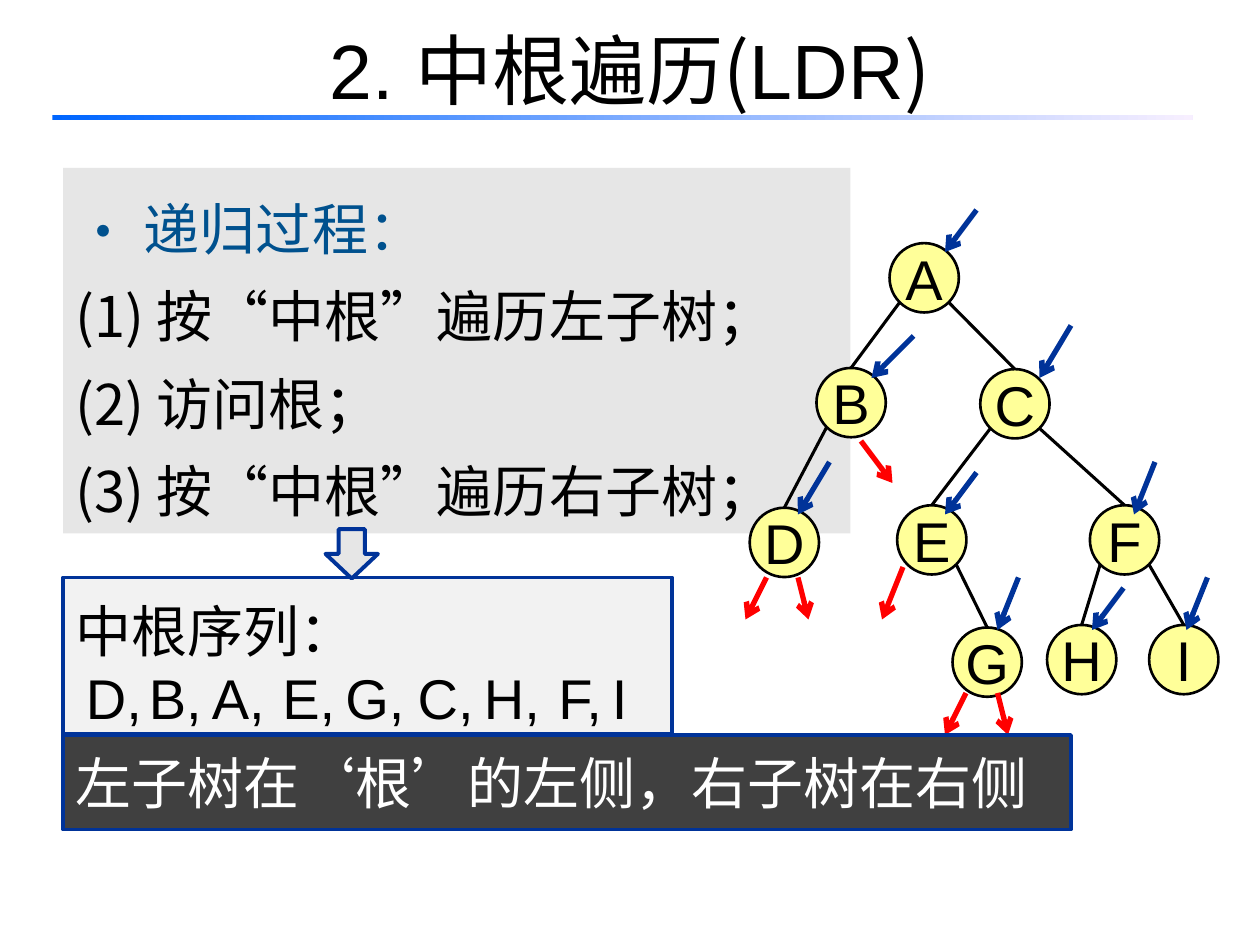
"""Build a slide on in-order traversal of a binary tree."""
from lxml import etree
from pptx import Presentation, util as u
from pptx.dml.color import RGBColor
from pptx.enum import shapes, text
from pptx.oxml.ns import qn

HUES = {"ink": "000000", "white": "FFFFFF", "blue": "003399", "red": "FF0000",
        "head": "00518E", "grey": "E6E6E6", "pale": "F2F2F2", "dark": "404040",
        "node": "FFFF99", "start": "0066FF", "end": "F7EFFF"}
LATIN, HAN = "Arial", "Noto Sans CJK SC"
SIDE = 6.6
KIND = shapes.MSO_SHAPE


def unit(num):
    """Turn twelfths of an inch into a length."""
    return u.Inches(num / 12)


def hue(name):
    """Look up a colour."""
    return RGBColor.from_string(HUES[name])


class Deck:
    """Hold the style and the current slide, on a grid of 120 by 90."""

    def __init__(self):
        """Open a title-only slide."""
        self.prs = Presentation()
        self.prs.slide_width, self.prs.slide_height = unit(120), unit(90)
        self.slide = self.prs.slides.add_slide(self.prs.slide_layouts[5])

    def style(self, run, font=HAN, size=32, color="ink"):
        """Set the Latin and Han fonts, size and colour of a run."""
        run.font.size, run.font.name = u.Pt(size), font
        run.font.color.rgb = hue(color)
        ea = etree.SubElement(run.font._element, qn("a:ea"))
        ea.set("typeface", HAN)

    def fill_in(self, frame, lines, font=HAN, color="ink", lead=None):
        """Put lines of text into a frame."""
        frame.text = "\n".join(lines)
        for par in frame.paragraphs:
            par.line_spacing = lead
            for run in par.runs:
                self.style(run, font, color=color)

    def title(self, parts, box):
        """Place the title and set its parts, each with its font."""
        top = self.slide.shapes.title
        top.left, top.top, top.width, top.height = map(unit, box)
        top.text_frame.vertical_anchor = text.MSO_ANCHOR.MIDDLE
        par = top.text_frame.paragraphs[0]
        par.alignment = text.PP_ALIGN.CENTER
        for words, font in parts:
            run = par.add_run()
            run.text = words
            self.style(run, font, 44)

    def shape(self, kind, box, fill, line=None, width=2.25):
        """Add a filled shape."""
        item = self.slide.shapes.add_shape(kind, *map(unit, box))
        item.shadow.inherit = False
        item.fill.solid()
        item.fill.fore_color.rgb = hue(fill)
        if line:
            item.line.color.rgb, item.line.width = hue(line), u.Pt(width)
        else:
            item.line.fill.background()
        return item

    def panel(self, box, lines, fill, line=None, color="ink", lead=None, mid=False):
        """Add a box with left-aligned text."""
        item = self.shape(KIND.RECTANGLE, box, fill, line)
        frame = item.text_frame
        frame.word_wrap = True
        frame.vertical_anchor = text.MSO_ANCHOR.MIDDLE if mid else text.MSO_ANCHOR.TOP
        self.fill_in(frame, lines, color=color, lead=lead)
        for par in frame.paragraphs:
            par.alignment = text.PP_ALIGN.LEFT
        return frame

    def mark(self, par, tag, key, value):
        """Give a paragraph a bullet or a number."""
        props = par._p.get_or_add_pPr()
        props.set("marL", str(u.Inches(0.12)))
        props.set("indent", str(-u.Inches(0.12)))
        etree.SubElement(props, qn("a:buFont")).set("typeface", HAN)
        etree.SubElement(props, qn(tag)).set(key, value)

    def rule(self, box):
        """Add the fading bar under the title."""
        item = self.shape(KIND.RECTANGLE, box, "start")
        item.fill.gradient()
        item.fill.gradient_angle = 0
        for stop, name, spot in zip(item.fill.gradient_stops, ("start", "end"), (0, 1)):
            stop.color.rgb, stop.position = hue(name), spot

    def node(self, name, left, top):
        """Add a round tree node."""
        item = self.shape(KIND.OVAL, (left, top, SIDE, SIDE), "node", "ink", 1.5)
        frame = item.text_frame
        frame.word_wrap = False
        frame.vertical_anchor = text.MSO_ANCHOR.MIDDLE
        self.fill_in(frame, [name], LATIN)
        frame.paragraphs[0].alignment = text.PP_ALIGN.CENTER

    def line(self, ends, color="ink", width=1.75, arrow=False):
        """Add a line or an arrow."""
        item = self.slide.shapes.add_connector(
            shapes.MSO_CONNECTOR.STRAIGHT, *map(unit, ends))
        item.line.color.rgb, item.line.width = hue(color), u.Pt(width)
        if arrow:
            tail = etree.SubElement(item.line._get_or_add_ln(), qn("a:tailEnd"))
            tail.set("type", "arrow")
        etree.SubElement(item._element.spPr, qn("a:effectLst"))

    def label(self, words, box):
        """Add a plain text box."""
        item = self.slide.shapes.add_textbox(*map(unit, box))
        item.text_frame.word_wrap = True
        self.fill_in(item.text_frame, [words], LATIN, lead=1.25)


NODES = {"A": (84.72, 23.16), "B": (77.76, 35.04), "C": (93.36, 35.16),
         "D": (71.4, 48.36), "E": (85.44, 48.12), "F": (103.8, 48.12),
         "G": (90.72, 59.76), "H": (99.72, 59.52), "I": (109.44, 59.52)}
LEFT, RIGHT = 0.15, 0.85
EDGES = [("AB", LEFT), ("AC", RIGHT), ("BD", LEFT), ("CE", LEFT),
         ("CF", RIGHT), ("EG", RIGHT), ("FH", LEFT), ("FI", RIGHT)]
VISITS = [(93, 20, 90, 24), (87, 32, 83, 36), (79, 44, 76, 49),
          (102, 31, 99, 36), (93, 45, 90, 49), (97, 55, 95, 60),
          (107, 56, 104, 60), (115, 55, 113, 60), (110, 44, 108, 49)]
EMPTY = [(73, 55, 71, 59), (76, 55, 77, 59), (82, 42, 85, 46),
         (86, 54, 84, 59), (92, 66, 90, 70), (95, 66, 96, 70)]
ORDER = {"D,": 7, "B,": 13, "A,": 19, "E,": 25.7, "G,": 31.7,
         "C,": 38.6, "H,": 44.9, "F,": 52, "I": 57.1}


def main():
    """Build and save the slide."""
    deck = Deck()
    steps = deck.panel((6, 16, 75, 34.8), [" 递归过程：", " 按“中根”遍历左子树；",
                       " 访问根；", " 按“中根”遍历右子树；"], "grey", lead=u.Pt(50))
    first, *rest = steps.paragraphs
    deck.mark(first, "a:buChar", "char", "•")
    first.runs[0].font.color.rgb = hue("head")
    for par in rest:
        deck.mark(par, "a:buAutoNum", "type", "arabicParenBoth")
    deck.title([("2. ", LATIN), ("中根遍历(", HAN), ("LDR", LATIN), (")", HAN)],
               (6, -1, 108, 15))
    deck.rule((5, 10.95, 108.6, 0.5))
    for name, spot in NODES.items():
        deck.node(name, *spot)
    for (top, low), side in EDGES:
        (x, y), (left, end) = NODES[top], NODES[low]
        deck.line((x + side * SIDE, y + RIGHT * SIDE, left + SIDE / 2, end))
    deck.panel((6, 55, 58, 14.9), ["中根序列："], "pale", "blue", lead=u.Pt(46))
    deck.shape(KIND.DOWN_ARROW, (31, 50.4, 5, 4.7), "grey", "blue")
    for words, left in ORDER.items():
        deck.label(words, (left, 61, 9, 8.5))
    for color, arrows in (("blue", VISITS), ("red", EMPTY)):
        for ends in arrows:
            deck.line(ends, color, 3, True)
    deck.panel((6, 70, 96, 9), ["左子树在‘根’的左侧，右子树在右侧"],
               "dark", "blue", "white", mid=True)
    deck.prs.save("out.pptx")


if __name__ == "__main__":
    main()
